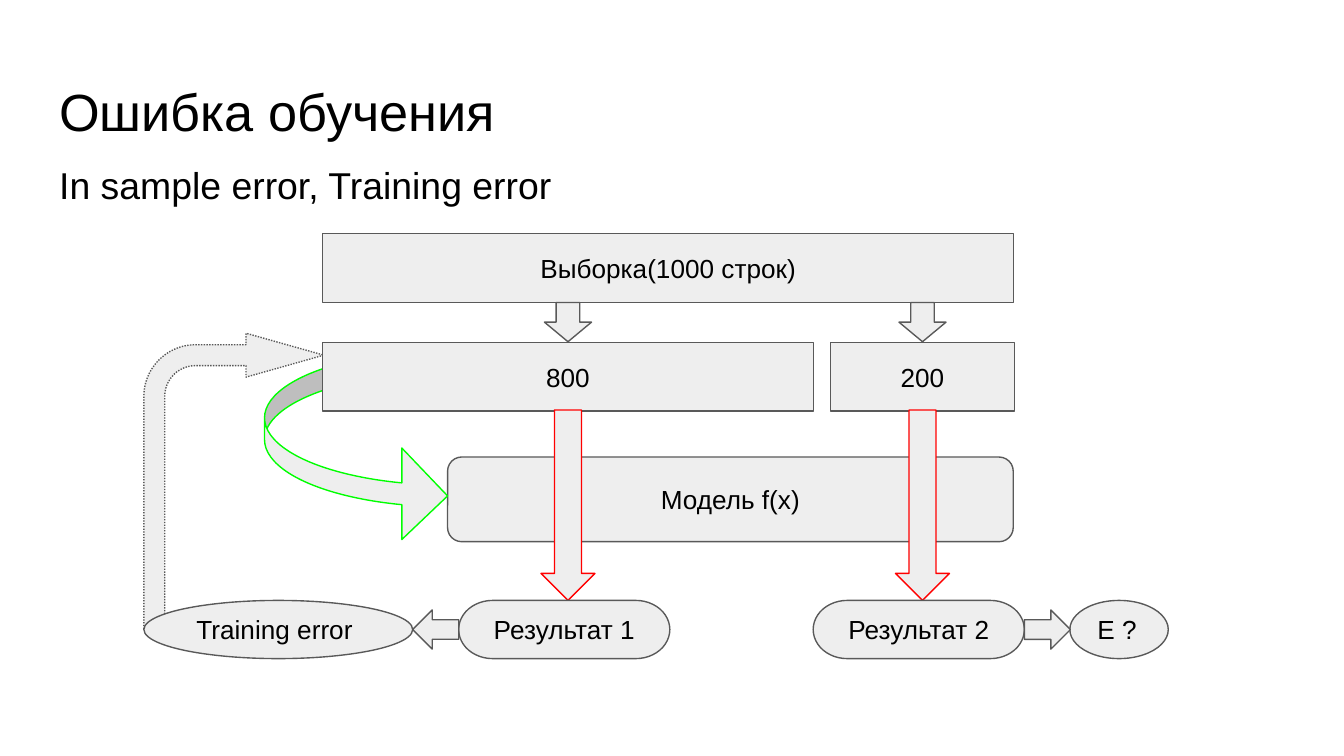
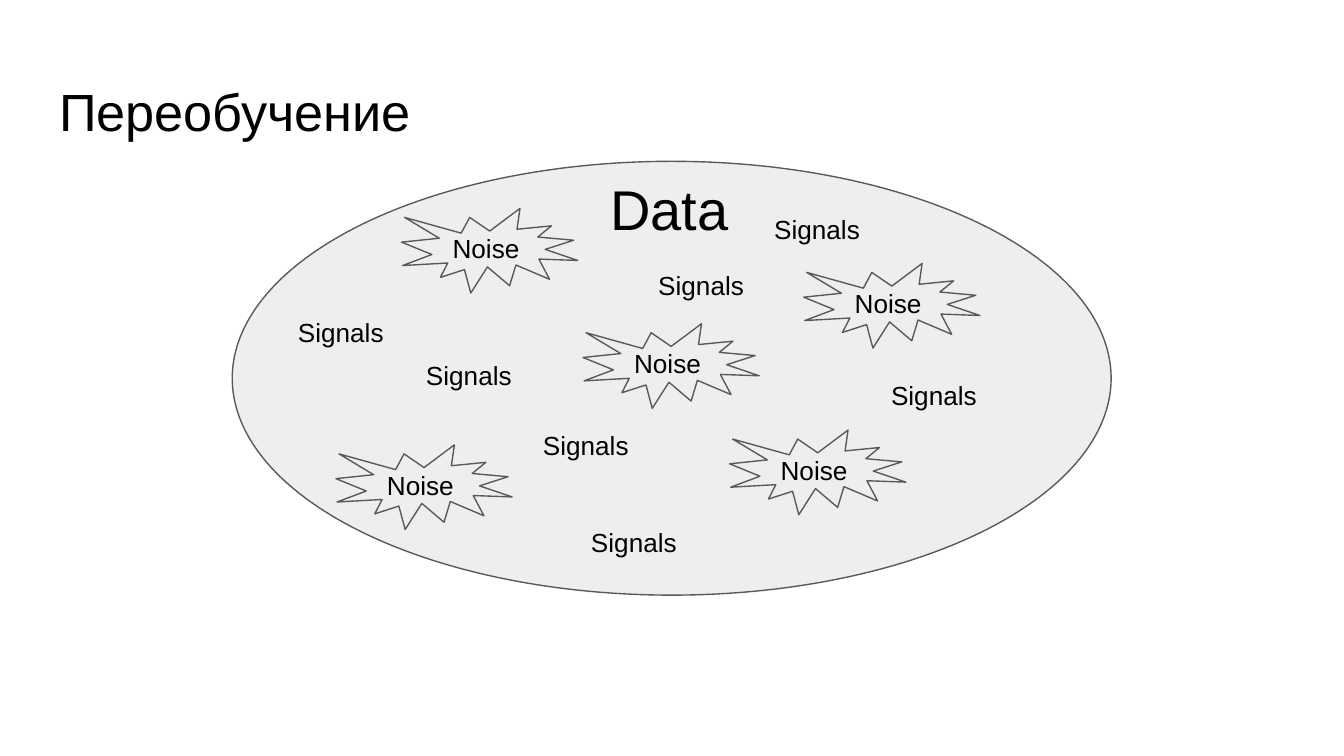
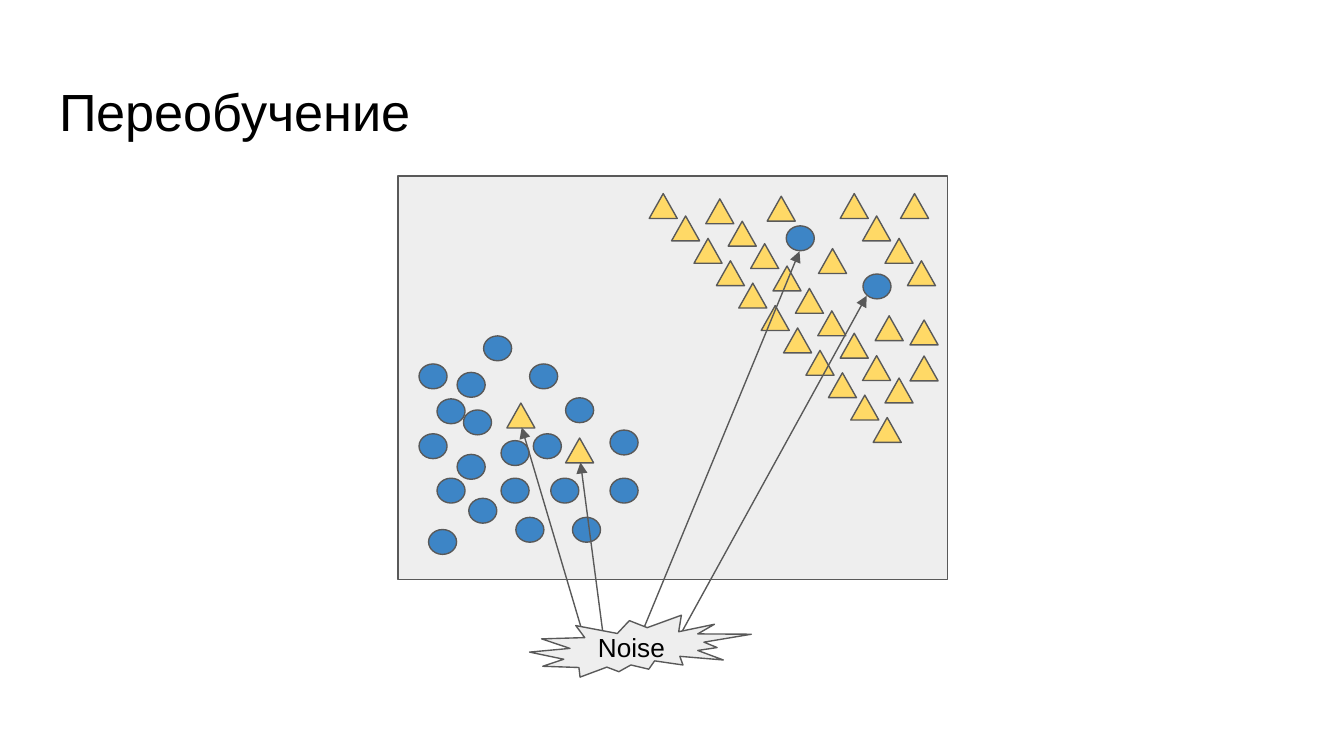
from pptx import Presentation
from pptx.dml.color import RGBColor
from pptx.enum.dml import MSO_LINE
from pptx.enum.shapes import MSO_CONNECTOR, MSO_SHAPE
from pptx.enum.text import MSO_ANCHOR, PP_ALIGN
from pptx.oxml.ns import qn
from pptx.util import Cm, Pt
from lxml import etree

BOX = MSO_SHAPE.FLOWCHART_PROCESS
ROUND = MSO_SHAPE.FLOWCHART_ALTERNATE_PROCESS
PILL = MSO_SHAPE.FLOWCHART_TERMINATOR
RECT = MSO_SHAPE.RECTANGLE
OVAL = MSO_SHAPE.OVAL
TRI = MSO_SHAPE.ISOSCELES_TRIANGLE
BURST = MSO_SHAPE.EXPLOSION1
SPLASH = MSO_SHAPE.EXPLOSION2
DOWN = MSO_SHAPE.DOWN_ARROW
LEFT_ARROW = MSO_SHAPE.LEFT_ARROW
BENT = MSO_SHAPE.BENT_ARROW
CURVED = MSO_SHAPE.CURVED_RIGHT_ARROW
STRAIGHT = MSO_CONNECTOR.STRAIGHT
DOTS = MSO_LINE.ROUND_DOT
MIDDLE, TOP = MSO_ANCHOR.MIDDLE, MSO_ANCHOR.TOP
CENTER, LEFT = PP_ALIGN.CENTER, PP_ALIGN.LEFT

COLORS = {"ink": "000000", "pale": "EEEEEE", "edge": "595959", "green": "00FF00",
          "red": "FF0000", "blue": "3D85C6", "gold": "FFD966"}
FONT = "Arial"
LINE = Pt(0.75)
INSET = Cm(0.25)
FRAME = {"margin_left": INSET, "margin_right": INSET, "margin_top": INSET,
         "margin_bottom": INSET, "word_wrap": True}

# Training error: lengths in cm
TITLE = (0.87, 1.24, 23.67, 1.6)
SUBTITLE = (0.87, 2.82, 23.67, 1.6)
SAMPLE = ("Выборка(1000 строк)", (6.1, 4.42, 13.06, 1.3))
MODEL = ("Модель f(x)", (8.46, 8.64, 10.69, 1.6))
SPLITS = [("800", "Результат 1", 6.1, 9.27), ("200", "Результат 2", 15.7, 3.47)]
ERRORS = [("Training error", 2.72, 5.08, 7.8, 0), ("E ?", 20.22, 1.86, 19.36, 180)]
SPLIT_TOP, SPLIT_H = 6.47, 1.3
END_TOP, END_H, END_W = 11.35, 1.1, 3.99
END_SHIFT = -0.07

# Noise in the data: corners in cm
DATA = (4.39, 3.05, 16.61, 8.2)
BURSTS = [(6.35, 8.41), (7.59, 3.94), (11.02, 6.12), (13.79, 8.13), (15.19, 4.98)]
SIGNALS = [(5.38, 5.74), (7.8, 6.55), (10.01, 7.87), (10.92, 9.7), (16.59, 6.93),
           (12.19, 4.85), (14.38, 3.78)]

# Two classes: corners in cm
FIELD = (7.52, 3.33, 10.39, 7.62)
MARK = (0.53, 0.47)
STEP = 2.54 / 6
CLUSTER = [(7.92, 6.88), (7.92, 8.2), (8.76, 7.75), (8.64, 8.59), (8.26, 7.54),
           (9.47, 8.33), (9.47, 9.04), (8.64, 7.04), (8.26, 9.04), (8.86, 9.42),
           (10.41, 9.04), (9.75, 9.78), (10.82, 9.78), (8.1, 10.01), (10.01, 6.88),
           (10.69, 7.52), (11.53, 8.13), (9.14, 6.35), (11.53, 9.04), (10.08, 8.2)]
RUNS = [(12.27, 3.66, 11), (13.34, 3.76, 9), (17.02, 3.66, 1), (15.88, 3.66, 4)]
STRAY_DOTS = [(14.86, 4.27), (16.31, 5.18)]
LOOSE = [(15.47, 4.7), (14.5, 3.71), (16.54, 5.97), (17.2, 6.05), (17.2, 6.73)]
STRAY_TRIS = [(9.58, 7.62), (10.69, 8.28)]
RAYS = [(11.02, 11.99, 9.86, 8.08), (11.4, 12.01, 10.97, 8.74),
        (12.14, 11.94, 15.11, 4.75), (12.85, 12.01, 16.38, 5.59)]


def color(name):
    return RGBColor.from_string(COLORS[name])


def write(shape, text, size=14, anchor=TOP, align=LEFT):
    frame = shape.text_frame
    for key, value in {**FRAME, "vertical_anchor": anchor}.items():
        setattr(frame, key, value)
    par = frame.paragraphs[0]
    par.alignment = align
    run = par.add_run()
    run.text = text
    for key, value in {"name": FONT, "size": Pt(size)}.items():
        setattr(run.font, key, value)
    run.font.color.rgb = color("ink")


def label(slide, text, place, size=14):
    write(slide.shapes.add_textbox(*map(Cm, place)), text, size)


def draw(slide, kind, place, text="", align=LEFT, fill="pale", edge="edge", adjust=()):
    shape = slide.shapes.add_shape(kind, *map(Cm, place))
    shape.shadow.inherit = False
    shape.fill.solid()
    shape.fill.fore_color.rgb = color(fill)
    shape.line.color.rgb = color(edge)
    shape.line.width = LINE
    for i, value in enumerate(adjust):
        shape.adjustments[i] = value
    if text:
        write(shape, text, anchor=MIDDLE, align=align)
    return shape


def ray(slide, ends):
    """Draw a line with an arrowhead at its far end."""
    line = slide.shapes.add_connector(STRAIGHT, *map(Cm, ends))
    line.line.color.rgb = color("edge")
    line.line.width = LINE
    etree.SubElement(line.line._get_or_add_ln(), qn("a:tailEnd"), type="triangle")
    etree.SubElement(line._element.spPr, qn("a:effectLst"))


def marks(slide, kind, fill, spots):
    for spot in spots:
        draw(slide, kind, spot + MARK, fill=fill)


def add_slide(deck, title):
    slide = deck.slides.add_slide(deck.slide_layouts[6])
    label(slide, title, TITLE, 28)
    return slide


def training(deck):
    slide = add_slide(deck, "Ошибка обучения")
    label(slide, "In sample error, Training error", SUBTITLE, 20)
    back = draw(slide, BENT, (2.72, 6.3, 3.4, 5.59), adjust=(0.116, 0.122, 0.432, 0.287))
    back.line.dash_style = DOTS
    draw(slide, BOX, SAMPLE[1], SAMPLE[0], CENTER)
    draw(slide, ROUND, MODEL[1], MODEL[0], CENTER)
    draw(slide, CURVED, (5, 6.63, 3.46, 3.61), edge="green", adjust=(0.119, 0.5, 0.25))
    for part, result, left, width in SPLITS:
        axis = left + width / 2
        draw(slide, BOX, (left, SPLIT_TOP, width, SPLIT_H), part, CENTER)
        for top, wide, high, edge in [(5.72, 0.89, 0.74, "edge"), (7.75, 1.02, 3.6, "red")]:
            draw(slide, DOWN, (axis - wide / 2, top, wide, high), edge=edge)
        draw(slide, PILL, (axis - END_W / 2 + END_SHIFT, END_TOP, END_W, END_H), result, CENTER)
    for text, left, width, arrow, turn in ERRORS:
        draw(slide, OVAL, (left, END_TOP, width, END_H), text)
        draw(slide, LEFT_ARROW, (arrow, 11.53, 0.87, 0.74)).rotation = turn


def noise(deck):
    slide = add_slide(deck, "Переобучение")
    draw(slide, OVAL, DATA)
    label(slide, "Data", (11.28, 3.05, 2.82, 1.4), 30)
    for spot in BURSTS:
        draw(slide, BURST, spot + (3.33, 1.6), "Noise")
    for spot in SIGNALS:
        label(slide, "Signals", spot + (2.21, 0.84))


def classes(deck):
    slide = add_slide(deck, "Переобучение")
    draw(slide, RECT, FIELD)
    marks(slide, OVAL, "blue", CLUSTER)
    for left, top, count in RUNS:
        marks(slide, TRI, "gold", [(left + i * STEP, top + i * STEP) for i in range(count)])
    marks(slide, OVAL, "blue", STRAY_DOTS)
    marks(slide, TRI, "gold", LOOSE + STRAY_TRIS)
    for ends in RAYS:
        ray(slide, ends)
    draw(slide, SPLASH, (10.01, 11.63, 4.19, 1.17), "Noise")


def main():
    deck = Presentation()
    deck.slide_width, deck.slide_height = Cm(25.4), Cm(14.29)
    for build in (training, noise, classes):
        build(deck)
    deck.save("out.pptx")


if __name__ == "__main__":
    main()
